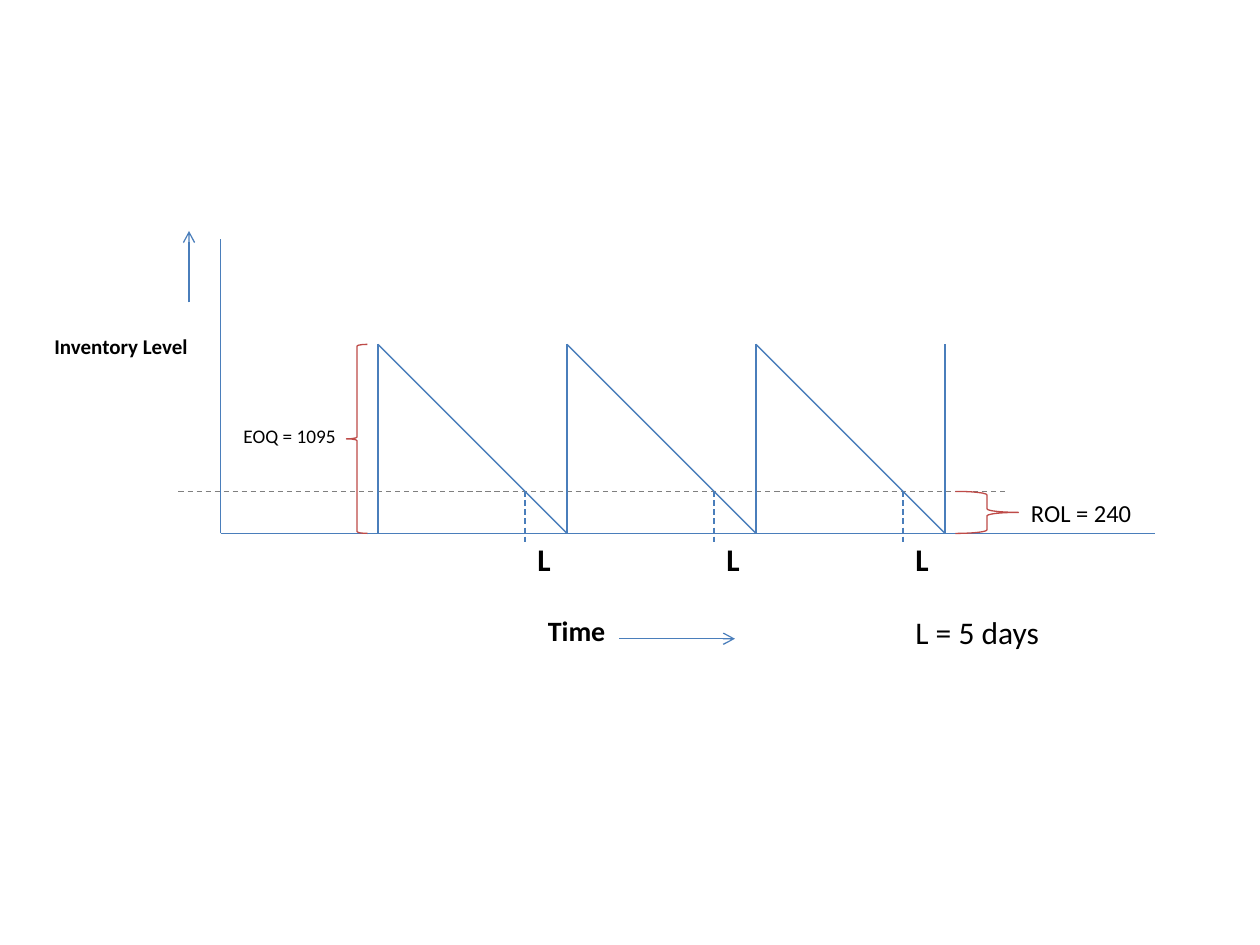
from dataclasses import dataclass

from lxml.etree import SubElement
from pptx import Presentation
from pptx.dml.color import RGBColor
from pptx.enum.dml import MSO_LINE
from pptx.enum.shapes import MSO_CONNECTOR, MSO_SHAPE
from pptx.enum.text import MSO_AUTO_SIZE
from pptx.oxml.ns import qn
from pptx.util import Pt


@dataclass(frozen=True)
class Theme:
    font: str = "Calibri"
    text: RGBColor = RGBColor(0x00, 0x00, 0x00)
    stock: RGBColor = RGBColor(0x4A, 0x7E, 0xBB)
    brace: RGBColor = RGBColor(0xBE, 0x4B, 0x48)
    reorder: RGBColor = RGBColor(0x7F, 0x7F, 0x7F)
    line_width: float = 0.75
    quantity_size: int = 11
    level_size: int = 12
    reorder_size: int = 14
    time_size: int = 16
    lead_size: int = 18


class Diagram:
    def __init__(self, slide, theme):
        self.slide = slide
        self.theme = theme

    def line(self, x1, y1, x2, y2, color=None, dashed=False, arrow=False):
        connector = self.slide.shapes.add_connector(
            MSO_CONNECTOR.STRAIGHT, Pt(x1), Pt(y1), Pt(x2), Pt(y2))
        connector.line.color.rgb = color or self.theme.stock
        connector.line.width = Pt(self.theme.line_width)
        if dashed:
            connector.line.dash_style = MSO_LINE.DASH
        properties = connector._element.spPr
        if arrow:
            SubElement(properties.find(qn("a:ln")), qn("a:tailEnd"), type="arrow")
        SubElement(properties, qn("a:effectLst"))

    def brace(self, kind, left, top, width, height):
        shape = self.slide.shapes.add_shape(
            kind, Pt(left), Pt(top), Pt(width), Pt(height))
        shape.shadow.inherit = False
        shape.fill.background()
        shape.line.color.rgb = self.theme.brace
        shape.line.width = Pt(self.theme.line_width)

    def label(self, text, left, top, width, height, size, bold=False):
        box = self.slide.shapes.add_textbox(
            Pt(left), Pt(top), Pt(width), Pt(height))
        frame = box.text_frame
        frame.word_wrap = True
        frame.auto_size = MSO_AUTO_SIZE.SHAPE_TO_FIT_TEXT
        run = frame.paragraphs[0].add_run()
        run.text = text
        run.font.name = self.theme.font
        run.font.size = Pt(size)
        run.font.bold = bold
        run.font.color.rgb = self.theme.text


def main():
    presentation = Presentation()
    presentation.slide_width, presentation.slide_height = Pt(720), Pt(540)
    slide = presentation.slides.add_slide(presentation.slide_layouts[6])
    theme = Theme()
    diagram = Diagram(slide, theme)

    axis_x, base_y, peak_y = 126, 304.8, 196.8
    first_cycle, period, cycles = 216, 108, 3
    reorder_offset = 84
    reorder_y = peak_y + reorder_offset * (base_y - peak_y) / period
    last_x = first_cycle + cycles * period

    # Axes
    diagram.line(axis_x, base_y, 660, base_y)
    diagram.line(axis_x, base_y, axis_x, 136.8)

    # Replenishment cycles
    diagram.line(102, reorder_y, 576, reorder_y, theme.reorder, dashed=True)
    for cycle in range(cycles):
        start = first_cycle + cycle * period
        reorder_x = start + reorder_offset
        diagram.line(start, base_y, start, peak_y)
        diagram.line(start, peak_y, start + period, base_y)
        diagram.line(reorder_x, reorder_y, reorder_x, 311, dashed=True)
        diagram.label("L", reorder_x, base_y, 18, 29, theme.lead_size, bold=True)
    diagram.line(last_x, base_y, last_x, peak_y)

    # Order quantity and reorder level
    diagram.brace(MSO_SHAPE.LEFT_BRACE, 198, peak_y, 12, base_y - peak_y)
    diagram.label("EOQ = 1095", 132, 239, 84, 20.6, theme.quantity_size)
    diagram.brace(MSO_SHAPE.RIGHT_BRACE, 546, reorder_y, 36, base_y - reorder_y)
    diagram.label("ROL = 240", 582, 281, 96, 24.2, theme.reorder_size)

    # Axis titles and lead time
    diagram.label("Inventory Level", 24, 187.2, 96, 21.8, theme.level_size, bold=True)
    diagram.line(108, 172.8, 108, 132, arrow=True)
    diagram.label("Time", 306, 347, 192, 26.6, theme.time_size, bold=True)
    diagram.line(354, 365, 420, 365, arrow=True)
    diagram.label("L = 5 days", 516, 347, 192, 29, theme.lead_size)

    presentation.save("out.pptx")


if __name__ == "__main__":
    main()
